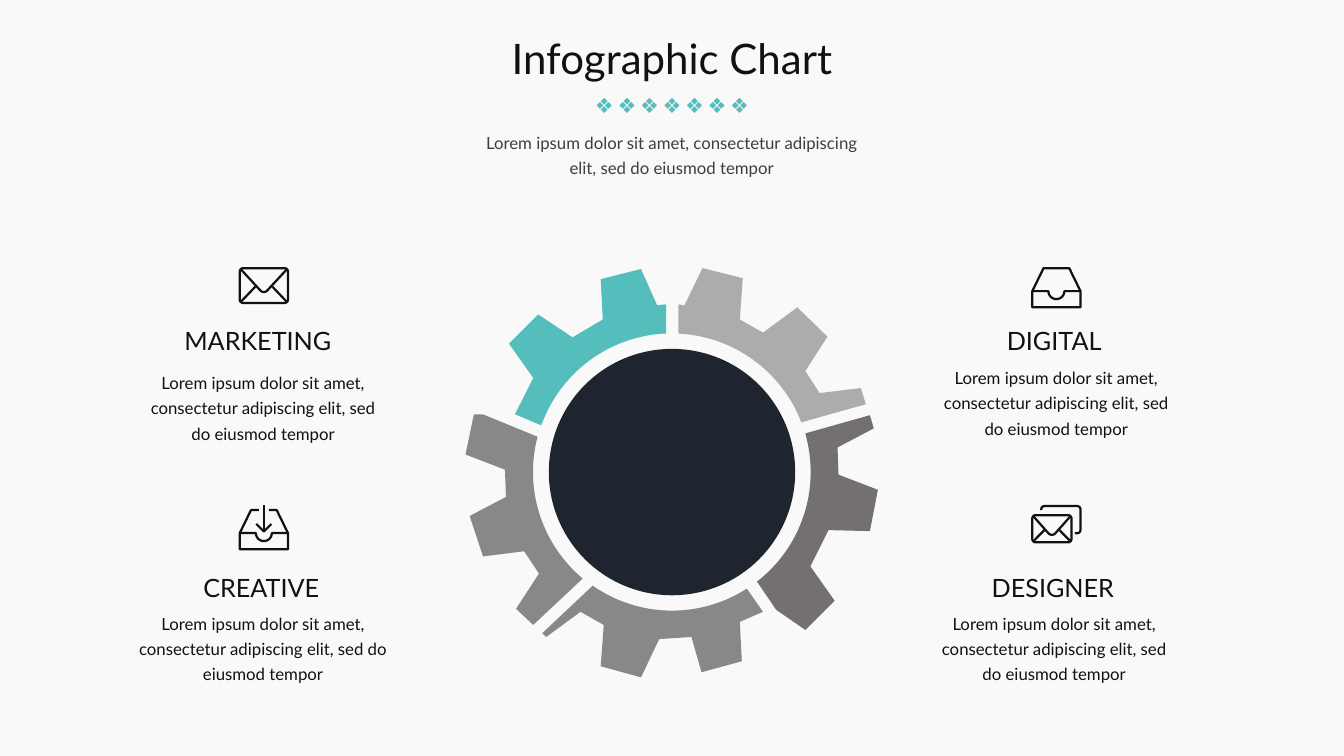
import math

from pptx import Presentation
from pptx.dml.color import RGBColor
from pptx.enum.shapes import MSO_SHAPE
from pptx.enum.text import MSO_AUTO_SIZE, PP_ALIGN
from pptx.util import Pt

OVAL = MSO_SHAPE.OVAL
LEFT, MID = PP_ALIGN.LEFT, PP_ALIGN.CENTER
GROW = MSO_AUTO_SIZE.SHAPE_TO_FIT_TEXT

HUES = {"back": "F9F9F9", "ink": "111111", "soft": "3E3E3E", "teal": "56BDBD",
        "light": "AEABAB", "mid": "888888", "dark": "757070", "hub": "1E252E"}
HUB = (480, 337.2)
LOREM = ("Lorem ipsum dolor sit amet, consectetur adipiscing elit, "
         "sed do eiusmod tempor")

# Gear wedges: the outer edge; the inner edge is an arc from last point to first.
GEAR = [
    ("mid", [(384, 312), (345, 296), (338.5, 296), (332.5, 324.7), (360.7, 335.5),
             (361.4, 355), (335.5, 368.6), (345, 397.5), (374.4, 393.8),
             (385, 409.7), (368.6, 434.9), (380.9, 446.4), (416.2, 413.3)]),
    ("light", [(572.4, 301.7), (618.5, 288.7), (614.9, 277.2), (585.4, 280.8),
               (575.3, 265), (591.1, 240.5), (569.5, 219.6), (545, 237.6),
               (528.5, 228.2), (530.6, 198.7), (501.8, 191.5), (488.9, 218.2),
               (484.6, 217.4), (484.6, 238.3)]),
    ("teal", [(475.9, 238.3), (475.9, 217.4), (469.4, 218), (457.9, 192.2),
              (429.1, 199.4), (430.6, 228.2), (409, 241), (384.5, 224.6),
              (363.6, 245.5), (380.9, 270), (367.9, 295.9), (386.6, 303.8)]),
    ("mid", [(423.4, 418.3), (387.4, 452.2), (390.2, 455), (414.7, 437),
             (431.3, 446.4), (429.1, 475.9), (457.9, 483.8), (470.9, 456.5),
             (493.9, 455), (501.1, 480.2), (529.9, 472.3), (528.5, 444.2),
             (545, 437), (533.5, 420.5)]),
    ("dark", [(540.7, 415.4), (554.4, 435.6), (575.3, 450), (596.2, 429.1),
              (578.9, 404.6), (591.8, 378.7), (621.4, 379.4), (627.1, 349.9),
              (599, 339.1), (598.3, 319.7), (624.2, 306), (621.4, 296.6),
              (575.3, 309.6)]),
]


def arc(x, y, rad, start, end, steps=8):
    """Points on a circle between two angles in degrees, clockwise from east."""
    turns = [math.radians(start + (end - start) * i / steps)
             for i in range(steps + 1)]
    return [(x + rad * math.cos(t), y + rad * math.sin(t)) for t in turns]


def rim(first, last):
    """Points of the short arc round the hub between two points."""
    (r1, a1), (r2, a2) = [
        (math.dist(HUB, p), math.degrees(math.atan2(p[1] - HUB[1], p[0] - HUB[0])))
        for p in (first, last)]
    sweep = math.remainder(a2 - a1, 360)
    return arc(*HUB, (r1 + r2) / 2, a1, a1 + sweep, 32)[1:-1]


def mail(top, wide, high):
    """Strokes of an envelope."""
    l, r, t, b = 0.8, wide - 0.8, top + 0.8, top + high - 0.8
    c, mid = 2.4, wide / 2
    frame = (arc(l + c, t + c, c, 180, 270) + arc(r - c, t + c, c, 270, 360)
             + arc(r - c, b - c, c, 0, 90) + arc(l + c, b - c, c, 90, 180))
    dip = top + high * 0.55
    flap = [(l + 0.7, t + 0.7)] + arc(mid, dip, 3.3, 135, 45) + [(r - 0.7, t + 0.7)]
    fold = top + high * 0.53
    return [frame + frame[:1], flap,
            [(l + 0.7, b - 0.7), (wide * 0.33, fold)],
            [(r - 0.7, b - 0.7), (wide * 0.67, fold)]]


def tray(top, gap):
    """Strokes of an inbox tray whose top edge may have a gap."""
    t, m, b = top + 0.8, top + 17.2, top + 28.7
    edge = [(18 - gap, t), (8.8, t), (0.8, m), (0.8, b),
            (35.2, b), (35.2, m), (27.2, t), (18 + gap, t)]
    return [edge, [(0.8, m)] + arc(18, m, 5.7, 180, 0, 16) + [(35.2, m)]]


ARROW = [[(18, 0.2), (18, 19)], [(12.6, 13.6), (18, 19), (23.4, 13.6)]]
SHEET = [[(7.2, 3.8)] + arc(9.6, 3.2, 2.4, 180, 270) + arc(32.8, 3.2, 2.4, 270, 360)
         + arc(32.8, 17.8, 2.4, 0, 90) + [(31.2, 20.2)]]

# Name, its left, top and width, the same of the text, icon place and strokes.
ITEMS = [
    ("DESIGNER", (701.3, 405.4, 104), (658, 431.3, 190), (736.6, 360.7),
     mail(6.5, 29.6, 21) + SHEET),
    ("DIGITAL", (712.1, 229, 86), (659.5, 255.6, 190), (736.6, 190.8), tray(0, 0)),
    ("MARKETING", (124.6, 229, 127), (95.8, 259.2, 184.3), (170.5, 190.8),
     mail(0, 36, 26.4)),
    ("CREATIVE", (138.2, 405.4, 100), (91.4, 431.3, 193), (170.5, 360.7),
     tray(2.9, 3.6) + ARROW),
]


class Page:
    def __init__(self, deck):
        self.slide = deck.slides.add_slide(deck.slide_layouts[6])
        self.shapes = self.slide.shapes
        self.font = "Lato"
        fill = self.slide.background.fill
        fill.solid()
        fill.fore_color.rgb = self.hue("back")

    def hue(self, name):
        return RGBColor.from_string(HUES[name])

    def paint(self, shape, name):
        shape.shadow.inherit = False
        shape.fill.solid()
        shape.fill.fore_color.rgb = self.hue(name)
        shape.line.fill.background()

    def trace(self, lines, close, x=0, y=0):
        """Build one outline from lists of points, shifted by x and y."""
        pen = None
        for line in lines:
            spots = [(Pt(x + px), Pt(y + py)) for px, py in line]
            if pen is None:
                pen = self.shapes.build_freeform(*spots[0])
            else:
                pen.move_to(*spots[0])
            pen.add_line_segments(spots[1:], close=close)
        return pen.convert_to_shape()

    def wedge(self, edge, name):
        self.paint(self.trace([edge + rim(edge[-1], edge[0])], True), name)

    def icon(self, x, y, lines):
        shape = self.trace(lines, False, x, y)
        shape.shadow.inherit = False
        shape.fill.background()
        shape.line.color.rgb = self.hue("ink")
        shape.line.width = Pt(1.6)

    def disc(self, x, y, rad, name):
        size = Pt(2 * rad)
        self.paint(self.shapes.add_shape(OVAL, Pt(x - rad), Pt(y - rad), size, size),
                   name)

    def text(self, words, x, y, w, h, size, hue="ink", align=LEFT, wrap=False,
             inset=True, font=None):
        frame = self.shapes.add_textbox(Pt(x), Pt(y), Pt(w), Pt(h)).text_frame
        frame.word_wrap = wrap
        frame.auto_size = GROW
        if not inset:
            frame.margin_left = frame.margin_right = 0
            frame.margin_top = frame.margin_bottom = 0
        para = frame.paragraphs[0]
        para.text = words
        para.alignment = align
        if wrap:
            para.line_spacing = 1.25
        para.font.size = Pt(size)
        para.font.name = font or self.font
        para.font.color.rgb = self.hue(hue)


def main():
    deck = Presentation()
    deck.slide_width, deck.slide_height = Pt(960), Pt(540)
    page = Page(deck)
    for name, edge in GEAR:
        page.wedge(edge, name)
    page.disc(*HUB, 88, "hub")
    for name, (x, y, w), (left, top, wide), spot, lines in ITEMS:
        page.text(name, x, y, w, 29, 18)
        page.text(LOREM, left, top, wide, 62, 12, align=MID, wrap=True)
        page.icon(*spot, lines)
    page.text(LOREM, 337.7, 91.4, 284.4, 34.6, 12, "soft", MID, True, False)
    page.text("Infographic Chart", 362, 23, 236, 36, 30, align=MID, inset=False)
    for i in range(7):
        page.text("❖", 425 + 16.1 * i, 66.2, 13.7, 18, 15, "teal", inset=False,
                  font="Calibri")
    deck.save("out.pptx")


if __name__ == "__main__":
    main()
